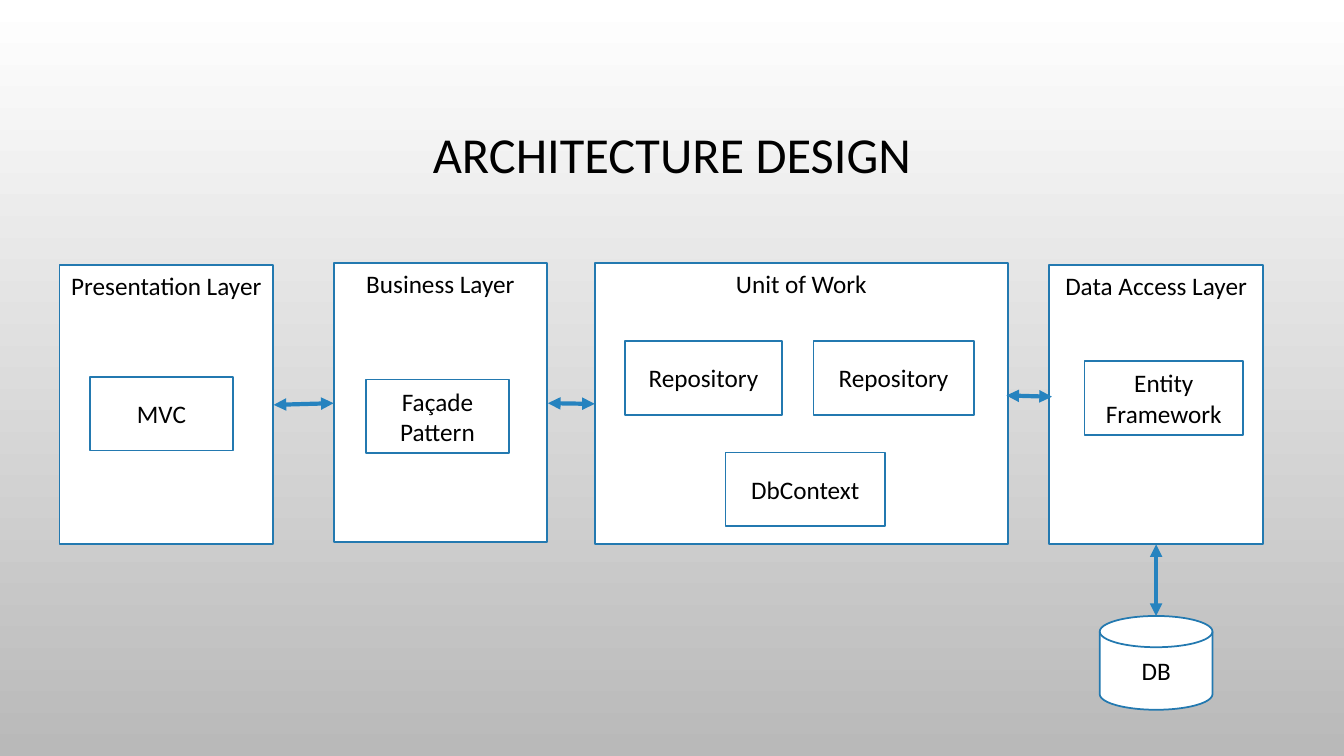
"""Build the layered architecture design slide."""
from lxml import etree
from pptx import Presentation
from pptx import util as u
from pptx.dml.color import RGBColor
from pptx.enum import shapes, text
from pptx.oxml.ns import qn

FONT = "Calibri"
BLACK = RGBColor(0x00, 0x00, 0x00)
WHITE = RGBColor(0xFF, 0xFF, 0xFF)
GREY = RGBColor(0xB9, 0xB9, 0xB9)
OUTLINE = RGBColor(0x23, 0x79, 0xB0)
ARROW = RGBColor(0x26, 0x83, 0xBF)
RECT = shapes.MSO_SHAPE.RECTANGLE
DISK = shapes.MSO_SHAPE.FLOWCHART_MAGNETIC_DISK
TOP, MIDDLE = text.MSO_ANCHOR.TOP, text.MSO_ANCHOR.MIDDLE
LAYER_W, LAYER_H, PART_H = 152.6, 199.4, 52.6

LAYERS = [
    ("Presentation Layer", 42.5, 189.4, LAYER_W, LAYER_H),
    ("Business Layer", 238.3, 188, LAYER_W, LAYER_H),
    ("Unit of Work", 424.8, 188, 295.2, 200.8),
    ("Data Access Layer", 749.5, 189.4, LAYER_W, LAYER_H),
]
PARTS = [
    ("MVC", 64.2, 269.3, 102.2),
    ("Façade Pattern", 261.4, 271.2, 102.2),
    ("Repository", 446.4, 243.6, 112.2),
    ("Repository", 581, 243.6, 114.6),
    ("DbContext", 518.2, 323.3, 114),
    ("Entity Framework", 774.7, 257.9, 113.2),
]
ARROWS = [
    (195.5, 289.2, 238.3, 288),
    (391.4, 288, 424.8, 288.5),
    (718.9, 282.5, 751.4, 283.4),
    (825.8, 388.8, 825.8, 440),
]


def set_background(s):
    """Fill the slide with a vertical white to grey gradient."""
    fill = s.background.fill
    fill.gradient()
    fill.gradient_angle = 270
    for stop, color in zip(fill.gradient_stops, (WHITE, GREY)):
        stop.color.rgb = color


def write(sp, words, size, anchor):
    """Put centred black text into a shape."""
    tf = sp.text_frame
    tf.word_wrap = True
    tf.vertical_anchor = anchor
    p = tf.paragraphs[0]
    p.alignment = text.PP_ALIGN.CENTER
    r = p.add_run()
    r.text = words
    r.font.name = FONT
    r.font.size = u.Pt(size)
    r.font.color.rgb = BLACK
    return p


def add_title(s, words):
    """Add the slide title."""
    sp = s.shapes.add_textbox(u.Pt(72), u.Pt(49), u.Pt(816), u.Pt(126))
    write(sp, words, 36, MIDDLE).line_spacing = 0.9


def add_box(s, words, x, y, w, h, anchor=MIDDLE, kind=RECT):
    """Add a white outlined shape with a label."""
    sp = s.shapes.add_shape(kind, u.Pt(x), u.Pt(y), u.Pt(w), u.Pt(h))
    sp.shadow.inherit = False
    sp.fill.solid()
    sp.fill.fore_color.rgb = WHITE
    sp.line.color.rgb = OUTLINE
    sp.line.width = u.Pt(1.25)
    write(sp, words, 18, anchor)


def add_arrow(s, *ends):
    """Add a double-headed arrow between two points."""
    sp = s.shapes.add_connector(
        shapes.MSO_CONNECTOR.STRAIGHT, *(u.Pt(v) for v in ends))
    sp.line.color.rgb = ARROW
    sp.line.width = u.Pt(3)
    sp_pr = sp.line._get_or_add_ln().getparent()
    for tag in ("a:headEnd", "a:tailEnd"):
        etree.SubElement(sp.line._get_or_add_ln(), qn(tag), type="triangle")
    etree.SubElement(sp_pr, qn("a:effectLst"))


def main():
    """Create and save the slide."""
    prs = Presentation()
    prs.slide_width, prs.slide_height = u.Pt(960), u.Pt(540)
    s = prs.slides.add_slide(prs.slide_layouts[6])
    set_background(s)
    add_title(s, "ARCHITECTURE DESIGN")
    for layer in LAYERS:
        add_box(s, *layer, anchor=TOP)
    for part in PARTS:
        add_box(s, *part, PART_H)
    add_box(s, "DB", 785.5, 440, 80.6, 67, kind=DISK)
    for ends in ARROWS:
        add_arrow(s, *ends)
    prs.save("out.pptx")


main()
